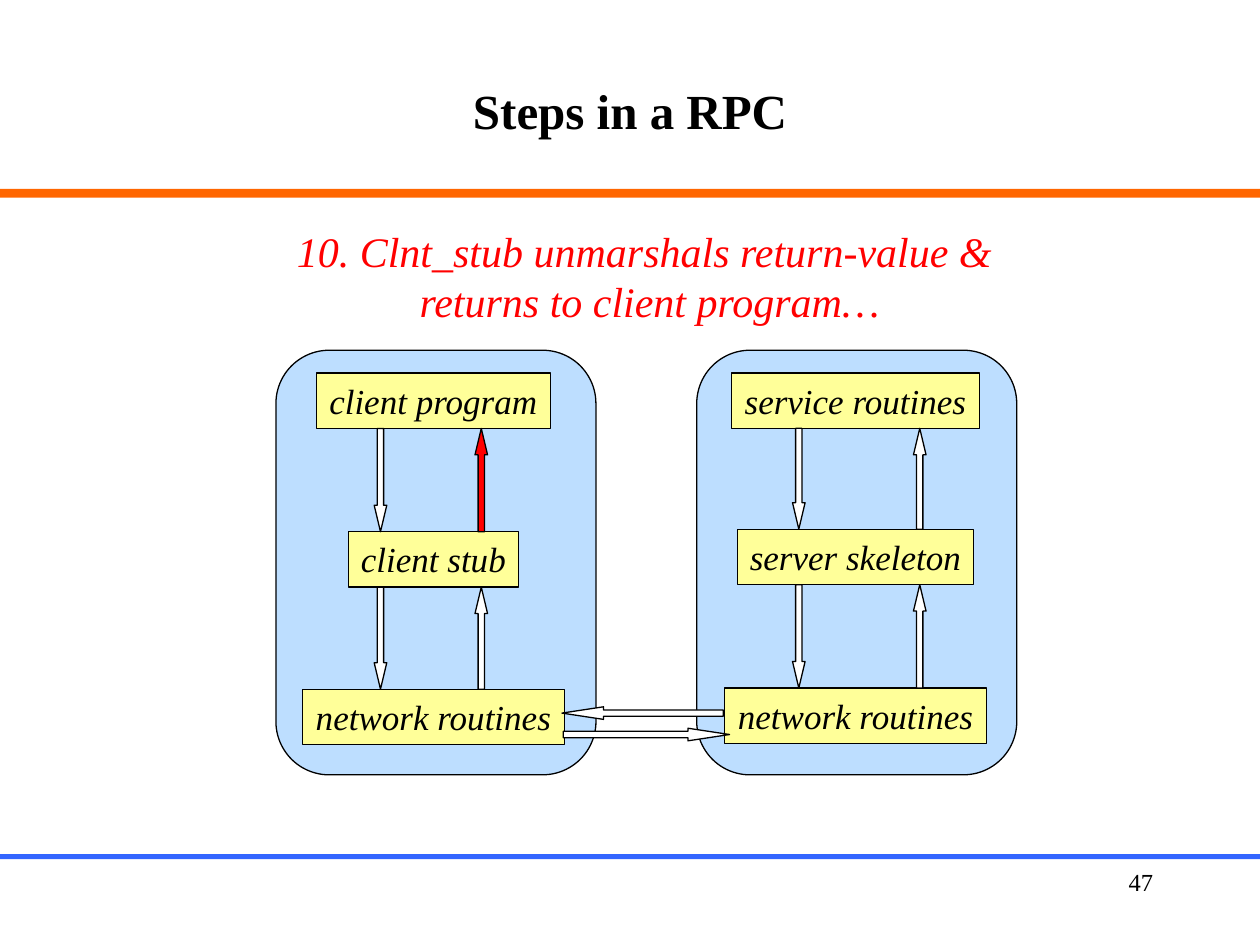
import pptx
import pptx.util
import pptx.dml.color
import pptx.enum.shapes
import pptx.enum.text
import lxml.etree
from pptx.oxml.ns import qn

Inches, Pt = pptx.util.Inches, pptx.util.Pt
SHAPE = pptx.enum.shapes.MSO_SHAPE
ALIGN = pptx.enum.text.PP_ALIGN
ANCHOR = pptx.enum.text.MSO_ANCHOR

# Content
TITLE = "Steps in a RPC"
STEP = ["10. Clnt_stub unmarshals return-value & ", "returns to client program…"]
PAGE = "47"
COLORS = {"orange": "FF6600", "blue": "3366FF", "panel": "3399FF", "box": "FFFF99",
          "white": "FFFFFF", "red": "FF0000", "black": "000000"}
FONT = "Times New Roman"

# Each layer: label, top, width. "active" is the gap whose up arrow is highlighted.
HOSTS = [
    {"panel_left": 5.53, "center": 6.79, "down_x": 6.34, "up_x": 7.3, "active": None,
     "layers": [("service routines", 2.96, 1.97), ("server skeleton", 4.2, 1.87),
                ("network routines", 5.46, 2.08)]},
    {"panel_left": 2.19, "center": 3.44, "down_x": 3.02, "up_x": 3.82, "active": 0,
     "layers": [("client program", 2.96, 1.86), ("client stub", 4.22, 1.35),
                ("network routines", 5.47, 2.08)]},
]
NETWORK_ARROWS = [(SHAPE.RIGHT_ARROW, 4.47, 5.78, 1.32), (SHAPE.LEFT_ARROW, 4.46, 5.61, 1.28)]
PANEL_TOP, PANEL_WIDTH, PANEL_HEIGHT = 2.78, 2.54, 3.37
BOX_HEIGHT, ARROW_WIDTH = 0.44, 0.1

deck = pptx.Presentation()
deck.slide_width, deck.slide_height = Inches(10), Inches(7.5)
slide = deck.slides.add_slide(deck.slide_layouts[5])


def rgb(name):
    return pptx.dml.color.RGBColor.from_string(COLORS[name])


def place(kind, left, top, width, height, fill, outlined=True):
    part = slide.shapes.add_shape(kind, *map(Inches, (left, top, width, height)))
    part.shadow.inherit = False
    part.fill.solid()
    part.fill.fore_color.rgb = rgb(fill)
    if outlined:
        part.line.color.rgb = rgb("black")
        part.line.width = Pt(0.75)
    else:
        part.line.fill.background()
    return part


def write(part, lines, size, color="black", align=ALIGN.CENTER, bold=False, italic=False,
          wrap=False, anchor=ANCHOR.TOP):
    frame = part.text_frame
    frame.text = "\n".join(lines)
    frame.word_wrap = wrap
    frame.vertical_anchor = anchor
    for paragraph in frame.paragraphs:
        paragraph.alignment = align
        font = paragraph.font
        font.name, font.size, font.bold, font.italic = FONT, Pt(size), bold, italic
        font.color.rgb = rgb(color)


def arrow(kind, left, top, width, height, head, fill="white"):
    part = place(kind, left, top, width, height, fill)
    part.adjustments[0], part.adjustments[1] = 0.5, head


# Rules, title and page number
place(SHAPE.RECTANGLE, 0, 1.5, 10, 0.07, "orange", outlined=False)
place(SHAPE.RECTANGLE, 0, 6.78, 10, 0.04, "blue", outlined=False)
title = slide.shapes.title
title.left, title.top, title.width, title.height = map(Inches, (0.75, 0.25, 8.5, 1.25))
write(title, [TITLE], 28, bold=True, wrap=True, anchor=ANCHOR.MIDDLE)
page = slide.shapes.add_textbox(*map(Inches, (7.17, 6.83, 2.08, 0.5)))
write(page, [PAGE], 14, align=ALIGN.RIGHT, wrap=True)

# Description of the step
step = slide.shapes.add_textbox(*map(Inches, (2.25, 1.74, 5.81, 0.9)))
write(step, STEP, 24, "red", italic=True)

# Translucent host panels
for host in HOSTS:
    panel = place(SHAPE.ROUNDED_RECTANGLE, host["panel_left"], PANEL_TOP,
                  PANEL_WIDTH, PANEL_HEIGHT, "panel")
    tint = panel.fill._xPr.find(qn("a:solidFill"))[0]
    lxml.etree.SubElement(tint, qn("a:alpha")).set("val", "32000")

# Layers of each host, then the arrows between neighbouring layers
for host in HOSTS:
    layers = host["layers"]
    for label, top, width in layers:
        box = place(SHAPE.RECTANGLE, host["center"] - width / 2, top, width, BOX_HEIGHT, "box")
        write(box, [label], 20, italic=True)
    for gap, (upper, lower) in enumerate(zip(layers, layers[1:])):
        start = upper[1] + BOX_HEIGHT
        for kind, x in ((SHAPE.DOWN_ARROW, host["down_x"]), (SHAPE.UP_ARROW, host["up_x"])):
            active = kind == SHAPE.UP_ARROW and gap == host["active"]
            arrow(kind, x - ARROW_WIDTH / 2, start, ARROW_WIDTH, lower[1] - start, 2.1,
                  "red" if active else "white")

# Arrows across the network
for kind, left, top, length in NETWORK_ARROWS:
    arrow(kind, left, top, length, ARROW_WIDTH, 3.3)

deck.save("out.pptx")
